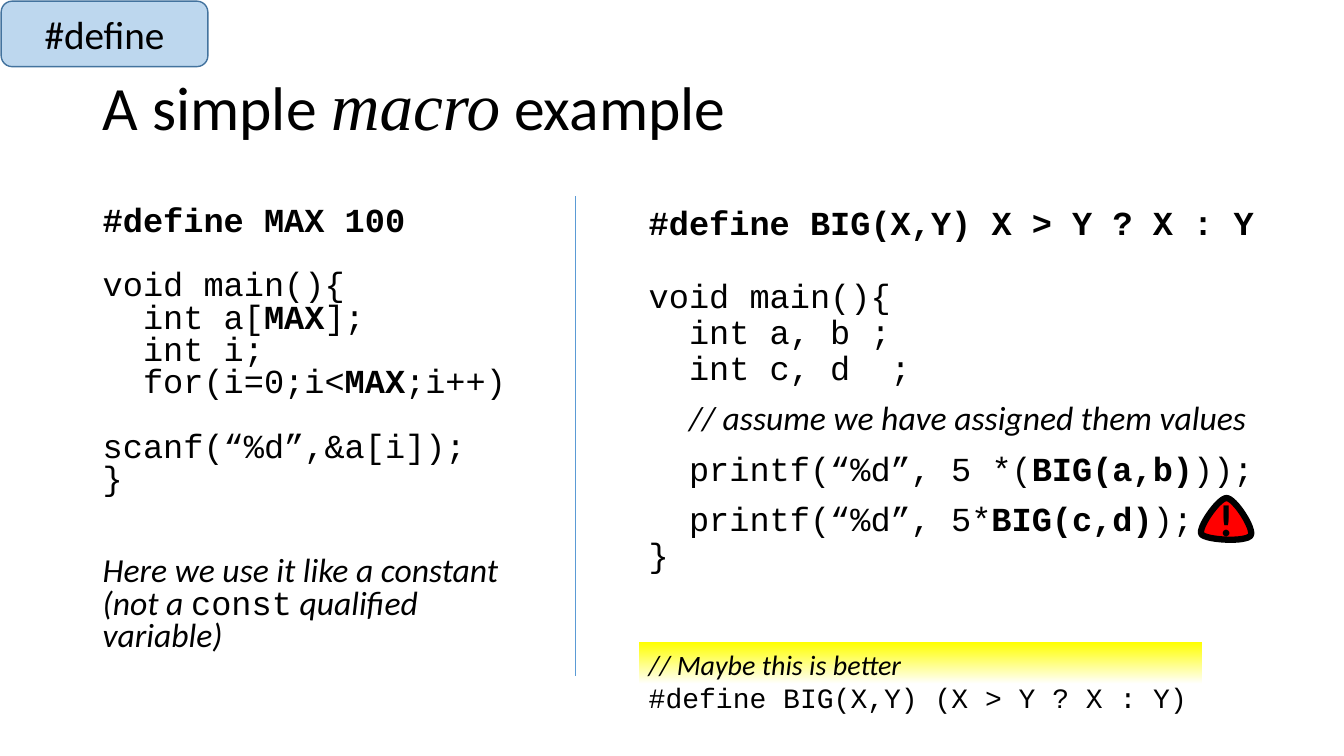
import copy
import pptx
import pptx.dml.color
import pptx.enum.shapes
import pptx.enum.text
import pptx.util
from lxml import etree

Cm, Pt = pptx.util.Cm, pptx.util.Pt
ANCHOR = pptx.enum.text.MSO_ANCHOR
ALIGN = pptx.enum.text.PP_ALIGN
SHAPE = pptx.enum.shapes.MSO_SHAPE

COLORS = {"text": "000000", "tag": "BDD7EE", "tag_line": "43739E",
          "divider": "5B9BD5", "warning": "FF0000",
          "highlight": "FFFF00", "fade": "FFFFFF"}

# style: font, bold, italic
STYLES = {"plain": ("Calibri", False, False),
          "strong": ("Calibri", True, False),
          "note": ("Calibri", False, True),
          "term": ("Times New Roman", False, True),
          "code": ("Courier New", False, False),
          "macro": ("Courier New", True, False)}

# paragraph: list of (text, style, size)
TITLE = [[("A simple ", "plain", 44), ("macro", "term", 48),
          (" example", "plain", 44)]]
CONSTANT = [
    [("#define MAX 100\n\n", "macro", 24),
     ("void main(){\n  int a[", "code", 24), ("MAX", "macro", 24),
     ("];\n  int i;\n  for(i=0;i<", "code", 24), ("MAX", "macro", 24),
     (";i++)\n     scanf(“%d”,&a[i]);\n}", "code", 24)],
    [("Here we use it like a constant (not a ", "note", 24),
     ("const", "code", 24), (" qualified variable)", "note", 24)]]
FUNCTION = [
    [("#define BIG(X,Y) X > Y ? X : Y\n\n", "macro", 24),
     ("void main(){\n  int a, b ;\n  int c, d  ;", "code", 24)],
    [("  ", "code", 24),
     ("// assume we have assigned them values", "note", 24)],
    [("  printf(“%d”, 5 *(", "code", 24), ("BIG(a,b)", "macro", 24),
     ("));", "code", 24)],
    [("  printf(“%d”, 5*", "code", 24), ("BIG(c,d)", "macro", 24),
     (");\n}", "code", 24)]]
BETTER = [[("// Maybe this is better\n", "note", 20),
           ("#define BIG(X,Y) (X > Y ? X : Y)", "code", 20)]]
TAG = [[("#define", "plain", 28)]]
ALERT = [[("!", "strong", 32)]]

# text boxes: paragraphs, box in cm, anchor, line spacing, space before each paragraph
TEXTS = [
    (TITLE, (2.34, 0.89, 29.21, 3.68), ANCHOR.MIDDLE, 0.9, [0]),
    (CONSTANT, (2.34, 5.08, 11.02, 12.09), ANCHOR.TOP, 0.8, [10, 43]),
    (FUNCTION, (16.1, 5.08, 16.59, 10.01), ANCHOR.TOP, 0.9, [10] * 4)]
BETTER_BOX = (16.1, 16.18, 14.2, 1.96)
TAG_BOX = (0.03, 0.03, 5.21, 1.65)
DIVIDER = (14.5, 4.95, 14.5, 17.04)

# rounded triangle: start point, then Bezier curves, in cm
SIGN_START = (30.28, 13.46)
SIGN_CURVES = [((30.18, 13.31), (30.71, 12.55), (30.91, 12.55)),
               ((31.12, 12.55), (31.62, 13.34), (31.52, 13.49)),
               ((31.42, 13.67), (30.38, 13.61), SIGN_START)]
CURVE_STEPS = 16


def rgb(name):
    """Return the named colour."""
    return pptx.dml.color.RGBColor.from_string(COLORS[name])


def add_piece(p, text, style, size):
    """Add styled text to a paragraph, turning newlines into line breaks."""
    for i, part in enumerate(text.split("\n")):
        if i:
            p.add_line_break()
        r = p.add_run()
        r.text = part
        r.font.name, r.font.bold, r.font.italic = STYLES[style]
        r.font.size = Pt(size)
        r.font.color.rgb = rgb("text")
        if i:
            r._r.getprevious().append(copy.deepcopy(r._r.rPr))
        if not part:
            p._p.remove(r._r)


def write(sp, paragraphs, anchor, align=ALIGN.LEFT, spacing=1.0, before=None):
    """Fill a shape with paragraphs of styled text."""
    tf = sp.text_frame
    tf.word_wrap = True
    tf.vertical_anchor = anchor
    for i, pieces in enumerate(paragraphs):
        p = tf.add_paragraph() if i else tf.paragraphs[0]
        p.alignment = align
        p.line_spacing = spacing
        p.space_before = Pt(before[i] if before else 0)
        for piece in pieces:
            add_piece(p, *piece)


def paint(sp, fill, line, width):
    """Give a shape a solid fill and an outline, without shadow."""
    sp.shadow.inherit = False
    sp.fill.solid()
    sp.fill.fore_color.rgb = rgb(fill)
    sp.line.color.rgb = rgb(line)
    sp.line.width = Pt(width)


def curve_points(start, curves):
    """Return points along a chain of cubic Bezier curves, in EMU."""
    points = []
    for c1, c2, end in curves:
        for step in range(1, CURVE_STEPS + 1):
            t = step / CURVE_STEPS
            u = 1 - t
            points.append(tuple(
                Cm(u**3 * a + 3 * u * u * t * b + 3 * u * t * t * c + t**3 * d)
                for a, b, c, d in zip(start, c1, c2, end)))
        start = end
    return points


def add_better(slide):
    """Add the improved macro on its fading highlight."""
    sp = slide.shapes.add_shape(SHAPE.RECTANGLE, *map(Cm, BETTER_BOX))
    sp.shadow.inherit = False
    sp.line.fill.background()
    sp.fill.gradient()
    sp.fill.gradient_angle = 270
    for stop, name, position in zip(sp.fill.gradient_stops,
                                    ("highlight", "fade"), (0, 0.54)):
        stop.color.rgb = rgb(name)
        stop.position = position
    write(sp, BETTER, ANCHOR.TOP)
    sp.text_frame.word_wrap = False
    sp.text_frame.auto_size = pptx.enum.text.MSO_AUTO_SIZE.SHAPE_TO_FIT_TEXT


def add_divider(slide):
    """Add the thin line between the two columns."""
    line = slide.shapes.add_connector(
        pptx.enum.shapes.MSO_CONNECTOR.STRAIGHT, *map(Cm, DIVIDER))
    line.line.color.rgb = rgb("divider")
    line.line.width = Pt(0.5)
    etree.SubElement(line._element.spPr, pptx.oxml.ns.qn("a:effectLst"))


def add_sign(slide):
    """Add the warning triangle."""
    points = curve_points(SIGN_START, SIGN_CURVES)
    builder = slide.shapes.build_freeform(*points[-1], scale=1.0)
    builder.add_line_segments(points[:-1], close=True)
    sp = builder.convert_to_shape()
    paint(sp, "warning", "text", 4.5)
    write(sp, ALERT, ANCHOR.MIDDLE, ALIGN.CENTER)


def add_tag(slide):
    """Add the topic tag in the corner."""
    sp = slide.shapes.add_shape(SHAPE.ROUNDED_RECTANGLE, *map(Cm, TAG_BOX))
    paint(sp, "tag", "tag_line", 1)
    write(sp, TAG, ANCHOR.MIDDLE, ALIGN.CENTER)


prs = pptx.Presentation()
prs.slide_width, prs.slide_height = Cm(33.87), Cm(19.05)
slide = prs.slides.add_slide(prs.slide_layouts[6])
for paragraphs, box, anchor, spacing, before in TEXTS:
    sp = slide.shapes.add_textbox(*map(Cm, box))
    write(sp, paragraphs, anchor, spacing=spacing, before=before)
add_better(slide)
add_divider(slide)
add_sign(slide)
add_tag(slide)
prs.save("out.pptx")
